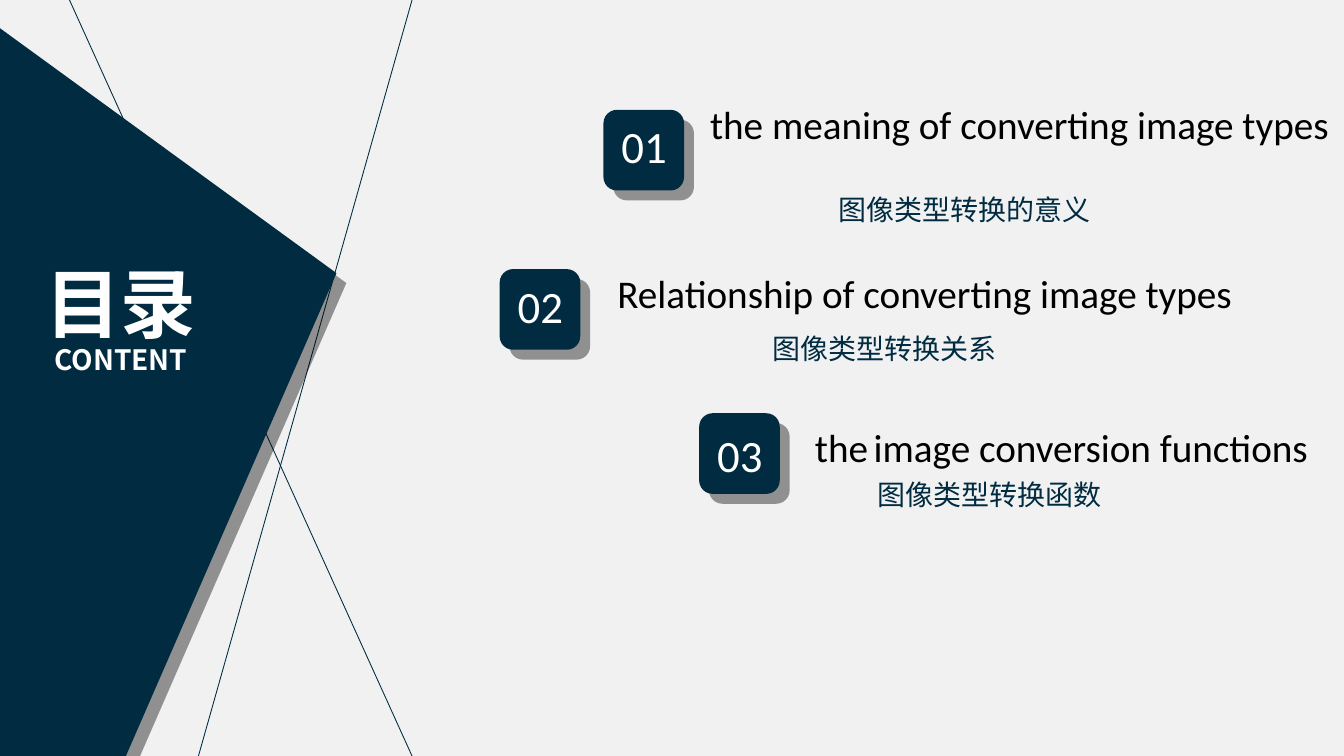
from pptx import Presentation
from pptx.dml.color import RGBColor
from pptx.enum.shapes import MSO_CONNECTOR, MSO_SHAPE
from pptx.enum.text import MSO_ANCHOR, MSO_AUTO_SIZE, PP_ALIGN
from pptx.oxml import parse_xml
from pptx.oxml.ns import nsdecls
from pptx.oxml.xmlchemy import OxmlElement
from pptx.util import Inches, Pt

NAVY = RGBColor(0x00, 0x2B, 0x41)
PALE = RGBColor(0xF1, 0xF1, 0xF1)
WHITE = RGBColor(0xFF, 0xFF, 0xFF)
BLACK = RGBColor(0x00, 0x00, 0x00)
LATIN = "Calibri"
CHINESE = "Noto Sans CJK SC"


def write(para, text, size=20, font=LATIN, color=BLACK, bold=False):
    span = para.add_run()
    span.text = text
    span.font.size = Pt(size)
    span.font.bold = bold
    span.font.color.rgb = color
    span.font.name = font
    east_asian = OxmlElement("a:ea")
    east_asian.set("typeface", font)
    span.font._element.append(east_asian)


def paint_with_shadow(shape):
    shape.fill.solid()
    shape.fill.fore_color.rgb = NAVY
    shape.line.fill.background()
    shape.shadow.inherit = False
    effects = shape._element.spPr.find(".//{*}effectLst")
    effects.append(parse_xml(
        f'<a:outerShdw {nsdecls("a")} blurRad="0" dist="{Pt(10)}" dir="2700000" '
        'algn="tl" rotWithShape="0"><a:srgbClr val="000000">'
        '<a:alpha val="40000"/></a:srgbClr></a:outerShdw>'))


deck = Presentation()
deck.slide_width = Inches(13.34)
deck.slide_height = Inches(7.5)
page = deck.slides.add_slide(deck.slide_layouts[5])
page.background.fill.solid()
page.background.fill.fore_color.rgb = PALE

# Crossing thin lines
for top_x, bottom_x in [(4.09, 1.97), (0.69, 4.09)]:
    line = page.shapes.add_connector(
        MSO_CONNECTOR.STRAIGHT, Inches(top_x), 0, Inches(bottom_x), Inches(7.5))
    line.line.color.rgb = NAVY
    line.line.width = Pt(0.62)
    line._element.spPr.append(OxmlElement("a:effectLst"))

# Dark panel on the left
outline = page.shapes.build_freeform(0, Inches(0.28))
outline.add_line_segments(
    [(Inches(x), Inches(y)) for x, y in [(3.34, 2.71), (1.25, 7.5), (0, 7.5)]])
paint_with_shadow(outline.convert_to_shape())

# Title, brought in front of the panel
title = page.shapes.title
page.shapes._spTree.append(title._element)
title.left, title.top = Inches(0.24), Inches(2.4)
title.width, title.height = Inches(1.92), Inches(1.34)
frame = title.text_frame
frame.word_wrap = True
frame.auto_size = MSO_AUTO_SIZE.NONE
frame.vertical_anchor = MSO_ANCHOR.TOP
title_lines = [("目录", 54, 72), ("CONTENT", 20, 20)]
for index, (text, size, spacing) in enumerate(title_lines):
    para = frame.add_paragraph() if index else frame.paragraphs[0]
    para.alignment = PP_ALIGN.CENTER
    para.line_spacing = Pt(spacing)
    write(para, text, size=size, font=CHINESE, color=WHITE, bold=True)

# Agenda: badge place, number top, then place and text of both headings
agenda = [
    ("01", 5.99, 1.09, 1.13,
     6.95, 0.95, [("the meaning of converting image types", 28)],
     8.22, 1.86, "图像类型转换的意义"),
    ("02", 4.96, 2.67, 2.72,
     6.03, 2.62, [("Relationship of converting image types", 28)],
     7.57, 3.24, "图像类型转换关系"),
    ("03", 6.94, 4.1, 4.19,
     7.99, 4.15, [("the", 28), (" ", 18), ("image conversion functions", 28)],
     8.61, 4.68, "图像类型转换函数"),
]
for (number, badge_x, badge_y, number_y, english_x, english_y, english,
     chinese_x, chinese_y, chinese) in agenda:
    badge = page.shapes.add_shape(
        MSO_SHAPE.ROUNDED_RECTANGLE, Inches(badge_x), Inches(badge_y),
        Inches(0.8), Inches(0.8))
    paint_with_shadow(badge)

    box = page.shapes.add_textbox(
        Inches(badge_x + 0.08), Inches(number_y), Inches(0.65), Inches(0.64))
    box.text_frame.word_wrap = False
    write(box.text_frame.paragraphs[0], number, size=32, color=WHITE)

    box = page.shapes.add_textbox(
        Inches(chinese_x), Inches(chinese_y), Inches(3.17), Inches(0.44))
    box.text_frame.word_wrap = True
    box.text_frame.vertical_anchor = MSO_ANCHOR.MIDDLE
    write(box.text_frame.paragraphs[0], chinese, font=CHINESE, color=NAVY)

    box = page.shapes.add_textbox(
        Inches(english_x), Inches(english_y), Inches(6.39), Inches(0.57))
    if english_x + 6.39 > 13.34:
        box.width = Inches(13.34 - english_x)
    box.text_frame.word_wrap = True
    for text, size in english:
        write(box.text_frame.paragraphs[0], text, size=size)

deck.save("out.pptx")
